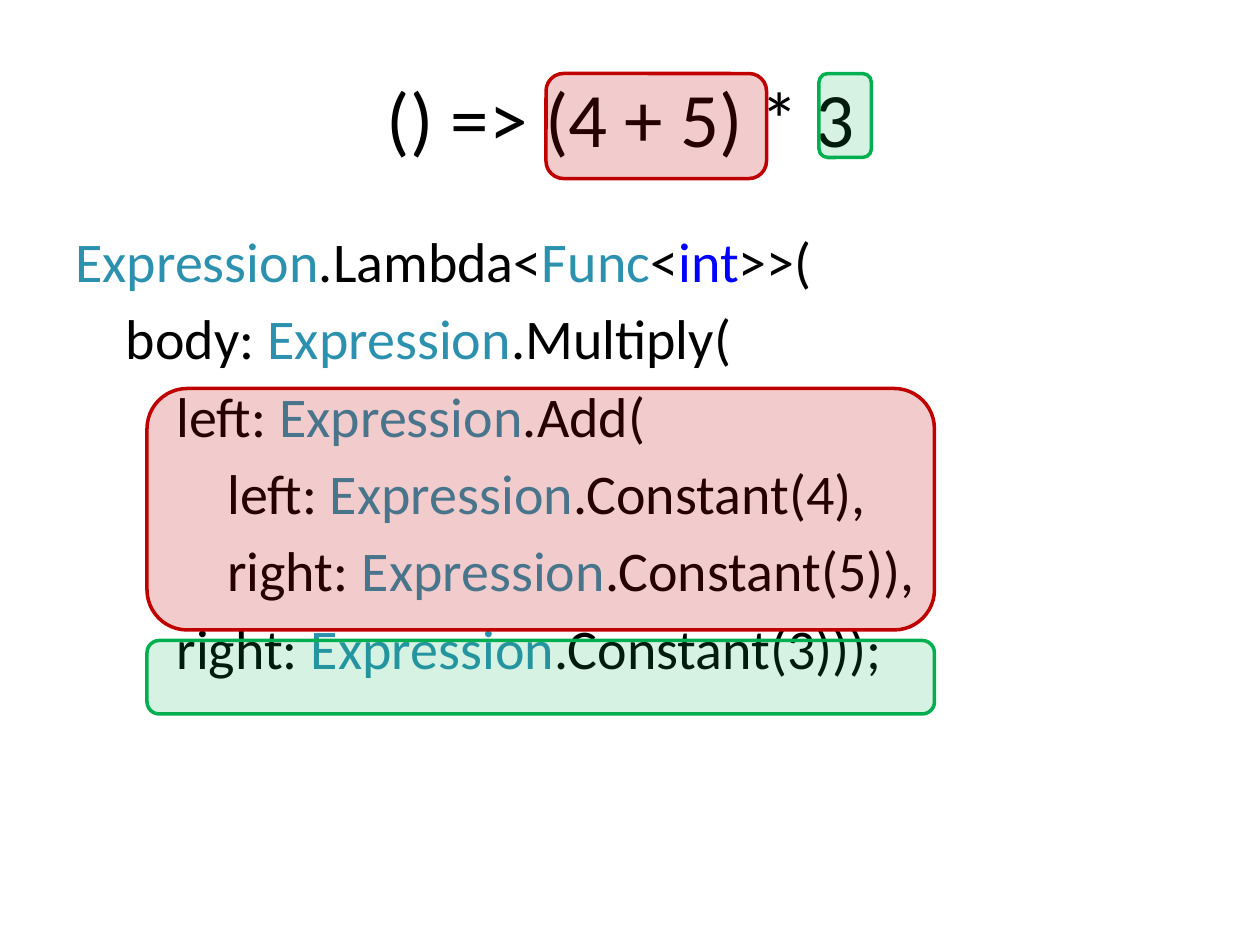
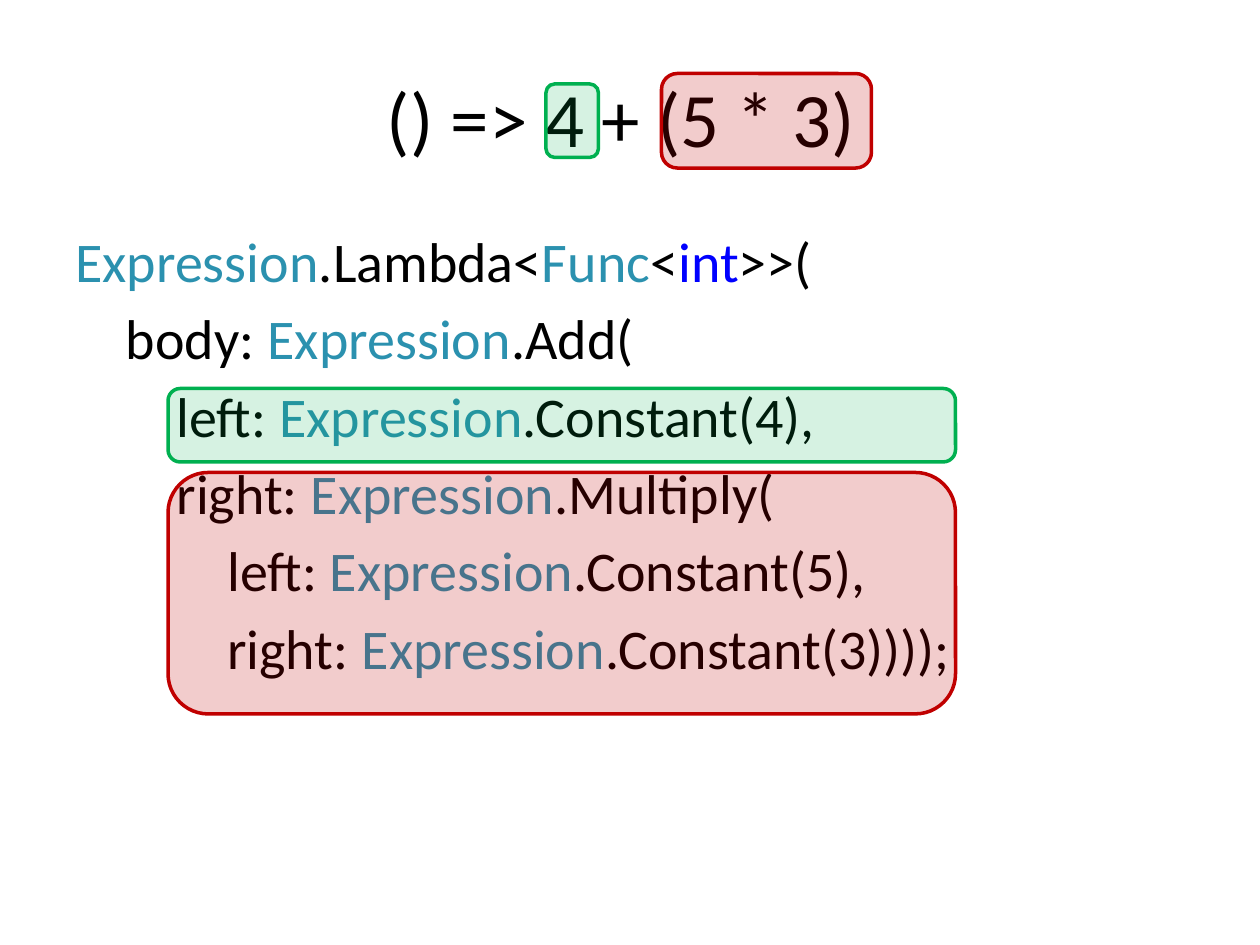
from dataclasses import dataclass
from enum import Enum

from lxml.etree import SubElement
from pptx import Presentation
from pptx.dml.color import RGBColor
from pptx.enum.shapes import MSO_SHAPE
from pptx.enum.text import MSO_ANCHOR, MSO_AUTO_SIZE, PP_ALIGN
from pptx.oxml.ns import qn
from pptx.slide import Slide
from pptx.text.text import _Paragraph as Paragraph
from pptx.util import Pt

FONT = "Calibri"
BLACK = "000000"
TOKEN_COLORS = {"Expression": "2B91AF", "Func": "2B91AF", "int": "0000FF"}
TITLE_BOX = (36, 21.6, 648, 90)
CODE_BOX = (36, 126, 648, 356.4)
TITLE_SIZE, CODE_SIZE, LINE_GAP = 44, 32, 5.75
INDENT = " " * 4


class Tint(Enum):
    """Highlight colour and its opacity in percent."""
    RED = ("C00000", 20)
    GREEN = ("00B050", 16)


@dataclass(frozen=True)
class Highlight:
    tint: Tint
    left: float
    top: float
    width: float
    height: float


@dataclass(frozen=True)
class CodeLine:
    depth: int
    tokens: tuple[str, ...]


@dataclass(frozen=True)
class ExpressionSlide:
    title: str
    code: tuple[CodeLine, ...]
    highlights: tuple[Highlight, ...]


def call(depth: int, argument: str, method: str) -> CodeLine:
    """A named argument whose value is a call on Expression."""
    return CodeLine(depth, (f"{argument}: ", "Expression", f".{method}"))


LAMBDA = CodeLine(0, ("Expression", ".Lambda<", "Func", "<", "int", ">>("))

SLIDES = (
    ExpressionSlide(
        "() => (4 + 5) * 3 ",
        (
            LAMBDA,
            call(1, "body", "Multiply("),
            call(2, "left", "Add("),
            call(3, "left", "Constant(4),"),
            call(3, "right", "Constant(5)),"),
            call(2, "right", "Constant(3)));"),
        ),
        (
            Highlight(Tint.RED, 312, 42, 126, 60),
            Highlight(Tint.RED, 84, 222, 450, 138),
            Highlight(Tint.GREEN, 468, 42, 30, 48),
            Highlight(Tint.GREEN, 84, 366, 450, 42),
        ),
    ),
    ExpressionSlide(
        "() => 4 + (5 * 3) ",
        (
            LAMBDA,
            call(1, "body", "Add("),
            call(2, "left", "Constant(4),"),
            call(2, "right", "Multiply("),
            call(3, "left", "Constant(5),"),
            call(3, "right", "Constant(3))));"),
        ),
        (
            Highlight(Tint.RED, 96, 270, 450, 138),
            Highlight(Tint.RED, 378, 42, 120, 54),
            Highlight(Tint.GREEN, 96, 222, 450, 42),
            Highlight(Tint.GREEN, 312, 48, 30, 42),
        ),
    ),
)


def rgb(color: str) -> RGBColor:
    return RGBColor.from_string(color)


def add_run(p: Paragraph, text: str, size: float, color: str = BLACK) -> None:
    r = p.add_run()
    r.text = text
    r.font.name = FONT
    r.font.size = Pt(size)
    r.font.color.rgb = rgb(color)


def set_title(s: Slide, text: str) -> None:
    sp = s.shapes.title
    sp.left, sp.top, sp.width, sp.height = map(Pt, TITLE_BOX)
    tf = sp.text_frame
    tf.auto_size = MSO_AUTO_SIZE.NONE
    tf.vertical_anchor = MSO_ANCHOR.MIDDLE
    p = tf.paragraphs[0]
    p.alignment = PP_ALIGN.CENTER
    add_run(p, text, TITLE_SIZE)


def add_code(s: Slide, lines: tuple[CodeLine, ...]) -> None:
    tf = s.shapes.add_textbox(*map(Pt, CODE_BOX)).text_frame
    tf.word_wrap = True
    for i, line in enumerate(lines):
        p = tf.add_paragraph() if i else tf.paragraphs[0]
        if i:
            p.space_before = Pt(LINE_GAP)
        first, *rest = line.tokens
        add_run(p, INDENT * line.depth + first, CODE_SIZE, TOKEN_COLORS.get(first, BLACK))
        for token in rest:
            add_run(p, token, CODE_SIZE, TOKEN_COLORS.get(token, BLACK))


def add_highlight(s: Slide, h: Highlight) -> None:
    color, opacity = h.tint.value
    sp = s.shapes.add_shape(MSO_SHAPE.ROUNDED_RECTANGLE,
                            *map(Pt, (h.left, h.top, h.width, h.height)))
    sp.shadow.inherit = False
    sp.fill.solid()
    sp.fill.fore_color.rgb = rgb(color)
    fill_color = sp.fill._xPr.find(qn("a:solidFill"))[0]
    SubElement(fill_color, qn("a:alpha"), val=str(opacity * 1000))
    sp.line.color.rgb = rgb(color)
    sp.line.width = Pt(2)


def main() -> None:
    prs = Presentation()
    prs.slide_width, prs.slide_height = Pt(720), Pt(540)
    title_only = prs.slide_layouts.get_by_name("Title Only")
    for content in SLIDES:
        s = prs.slides.add_slide(title_only)
        set_title(s, content.title)
        add_code(s, content.code)
        for highlight in content.highlights:
            add_highlight(s, highlight)
    prs.save("out.pptx")


if __name__ == "__main__":
    main()
